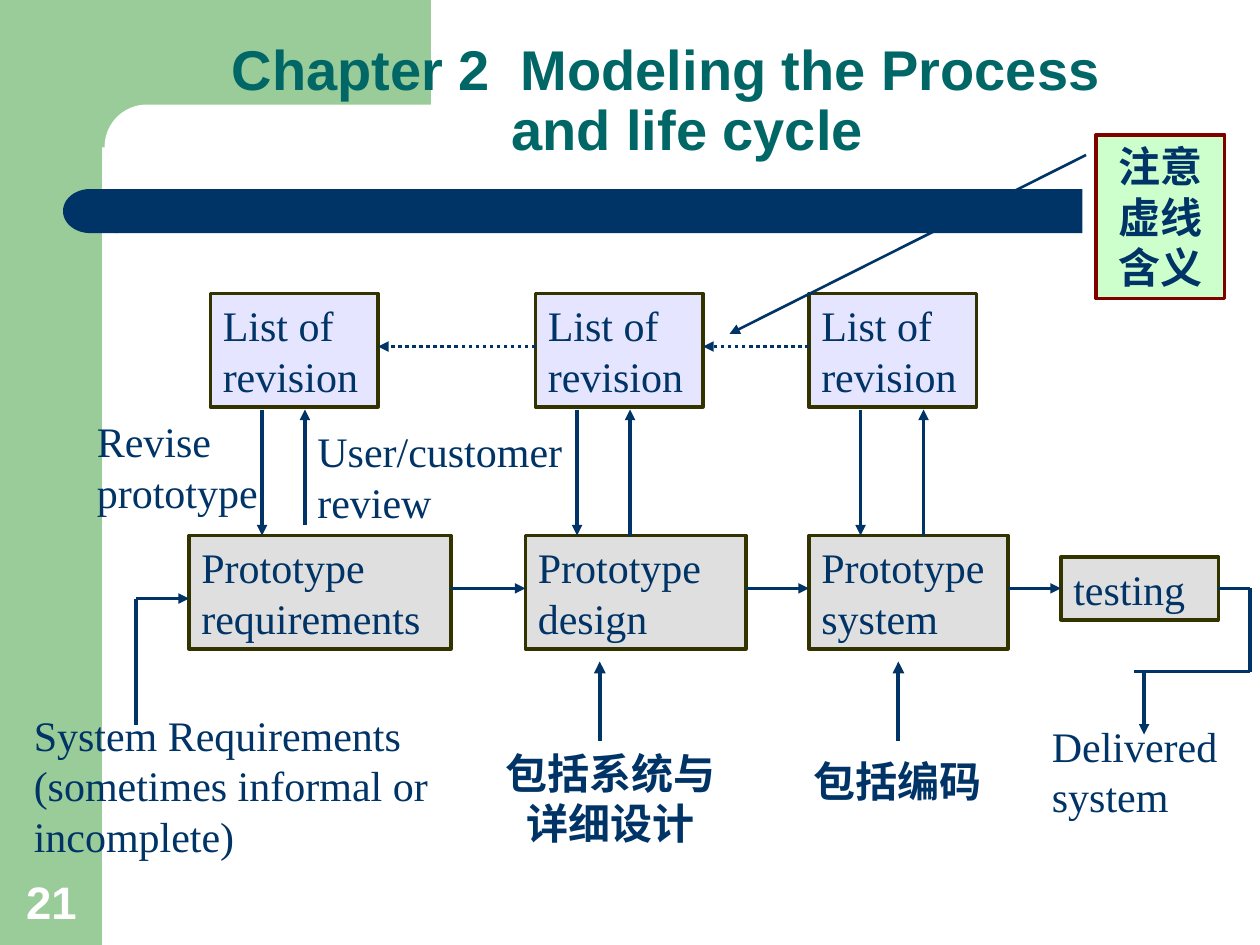
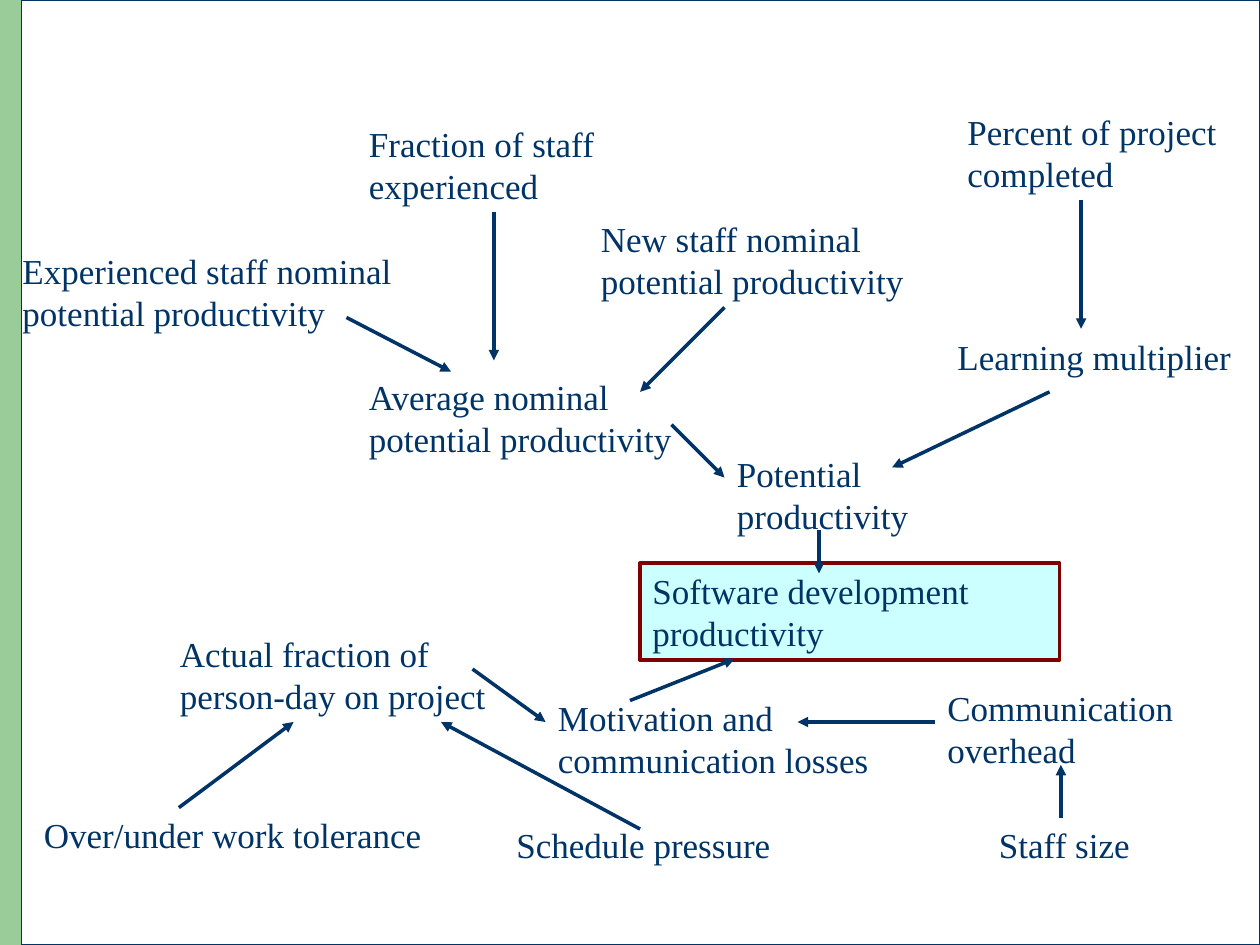
import itertools

import lxml.etree
import pptx
import pptx.dml.color
import pptx.enum.dml
import pptx.enum.shapes
import pptx.enum.text
import pptx.oxml.ns
import pptx.util

Inches, Pt = pptx.util.Inches, pptx.util.Pt
RGB = pptx.dml.color.RGBColor.from_string
qn = pptx.oxml.ns.qn
SHAPE = pptx.enum.shapes.MSO_SHAPE
ALIGN = pptx.enum.text.PP_ALIGN
ANCHOR = pptx.enum.text.MSO_ANCHOR


class Theme:
    white, green, navy, teal = "FFFFFF", "99CC99", "003366", "006666"
    grey, lilac, mint, aqua = "C0C0C0", "CCCCFF", "CCFFCC", "CCFFFF"
    olive, maroon = "333300", "800000"
    heading, body = "Arial", "Times New Roman"
    title_size, number_size, flow_size, factor_size = 32, 26, 24, 20
    line_width = 2


def add_box(s, at, text="", size=Theme.flow_size, color=Theme.navy, font=Theme.body,
            bold=False, align=ALIGN.LEFT, anchor=ANCHOR.TOP, fill=None, alpha=None,
            line=None, width=Theme.line_width, kind=SHAPE.RECTANGLE):
    """Add a filled shape, or a plain text box when there is no fill."""
    place = [Inches(v) for v in at]
    if fill:
        sp = s.shapes.add_shape(kind, *place)
        sp.shadow.inherit = False
        sp.fill.solid()
        sp.fill.fore_color.rgb = RGB(fill)
        if alpha:
            clr = sp._element.spPr.find(".//" + qn("a:srgbClr"))
            lxml.etree.SubElement(clr, qn("a:alpha"), val=str(alpha * 1000))
        if line:
            sp.line.color.rgb = RGB(line)
            sp.line.width = Pt(width)
        else:
            sp.line.fill.background()
    else:
        sp = s.shapes.add_textbox(*place)
    if text:
        tf = sp.text_frame
        tf.word_wrap = True
        tf.vertical_anchor = anchor
        tf.text = text
        for p in tf.paragraphs:
            p.alignment = align
            for r in p.runs:
                r.font.size, r.font.name, r.font.bold = Pt(size), font, bold
                r.font.color.rgb = RGB(color)
    return sp


def add_line(s, start, end, width=Theme.line_width, arrow=True, dotted=False):
    c = s.shapes.add_connector(pptx.enum.shapes.MSO_CONNECTOR.STRAIGHT,
                               *[Inches(v) for v in (*start, *end)])
    c.line.color.rgb = RGB(Theme.navy)
    c.line.width = Pt(width)
    if dotted:
        c.line.dash_style = pptx.enum.dml.MSO_LINE.ROUND_DOT
    if arrow:
        lxml.etree.SubElement(c.line._get_or_add_ln(), qn("a:tailEnd"), type="triangle")
    lxml.etree.SubElement(c._element.spPr, qn("a:effectLst"))


prs = pptx.Presentation()
prs.slide_width, prs.slide_height = Inches(10), Inches(7.5)
flow, factors = [prs.slides.add_slide(prs.slide_layouts[6]) for _ in range(2)]

# Green corner shared by both slides
for s in (flow, factors):
    add_box(s, (0, 0, 0.81, 7.5), fill=Theme.green)
    add_box(s, (0.73, 0, 2.69, 1.17), fill=Theme.green)

# Slide 1: prototyping flow
s = flow
corner = add_box(s, (0.83, 0.83, 5.58, 0.67), fill=Theme.white, kind=SHAPE.ROUNDED_RECTANGLE)
corner.adjustments[0] = 0.5
add_box(s, (0.92, 1.5, 7.67, 0.35), fill=Theme.navy)
cap = add_box(s, (0.5, 1.5, 0.43, 0.35), fill=Theme.navy, kind=SHAPE.FLOWCHART_DELAY)
cap.rotation = 180
add_box(s, (0.11, 6.88, 0.64, 0.54), "21", Theme.number_size, Theme.white,
        Theme.heading, bold=True, anchor=ANCHOR.BOTTOM)

title = add_box(s, (1, 0.42, 8.75, 0.92), "Chapter 2  Modeling the Process\nand life cycle",
                Theme.title_size, Theme.teal, Theme.heading, bold=True, anchor=ANCHOR.BOTTOM)
for p, indent in zip(title.text_frame.paragraphs, (0.74, 2.96)):
    p.line_spacing = 0.9
    p._p.get_or_add_pPr().set("marL", str(Inches(indent)))

stages = [
    ("Prototype requirements", 1.5, 4.25, 2.08, 0.9),
    ("Prototype design", 4.17, 4.25, 1.75, 0.9),
    ("Prototype system", 6.42, 4.25, 1.58, 0.9),
    ("testing", 8.42, 4.42, 1.25, 0.5),
]
flow_y = 4.67
for text, *at in stages:
    add_box(s, at, text, fill=Theme.grey, alpha=50, line=Theme.olive)
for (_, left, _, width, _), (_, next_left, *_) in itertools.pairwise(stages):
    add_line(s, (left + width, flow_y), (next_left, flow_y))

# Revision list left edge, x of the arrow down, x and start of the arrow up
revisions = [(1.67, 2.08, 2.42, 4.17), (4.25, 4.58, 5, 4.25), (6.42, 6.83, 7.33, 4.25)]
revision_width, dotted_y = 1.33, 2.75
for left, down_x, up_x, up_start in revisions:
    add_box(s, (left, 2.33, revision_width, 0.9), "List of revision",
            fill=Theme.lilac, alpha=50, line=Theme.olive)
    add_line(s, (down_x, 3.25), (down_x, 4.25))
    add_line(s, (up_x, up_start), (up_x, 3.25))
for (left, *_), (next_left, *_) in itertools.pairwise(revisions):
    add_line(s, (next_left, dotted_y), (left + revision_width, dotted_y), dotted=True)

delivery = [(9.67, flow_y), (9.92, flow_y), (9.92, 5.33), (9, 5.33)]
for start, end in itertools.pairwise(delivery):
    add_line(s, start, end, arrow=False)
add_line(s, (9.08, 5.33), (9.08, 5.83))
add_line(s, (1.08, 4.75), (1.08, 5.75), arrow=False)
add_line(s, (1.08, 4.75), (1.5, 4.75))

for text, *at in [
    ("System Requirements (sometimes informal or incomplete)", 0.17, 5.58, 3.33, 1.3),
    ("Revise prototype", 0.67, 3.25, 1.58, 0.9),
    ("User/customer review", 2.42, 3.33, 2.25, 0.9),
    ("Delivered system", 8.25, 5.67, 1.67, 0.9),
]:
    add_box(s, at, text)

for text, arrow_x, *at in [
    ("包括系统与详细设计", 4.76, 3.9, 5.88, 1.89, 0.9),
    ("包括编码", 7.13, 6.34, 5.95, 1.57, 0.5),
]:
    add_line(s, (arrow_x, 5.88), (arrow_x, 5.25), width=2.25)
    add_box(s, at, text, font=Theme.heading, bold=True, align=ALIGN.CENTER)
add_box(s, (8.7, 1.07, 1.02, 1.3), "注意虚线含义", font=Theme.heading, bold=True,
        align=ALIGN.CENTER, fill=Theme.mint, line=Theme.maroon)
add_line(s, (8.62, 1.23), (5.79, 2.65), width=1.5)

# Slide 2: factors of productivity
s = factors
add_box(s, (0.17, 0, 9.83, 7.5), fill=Theme.white, line=Theme.navy, width=0.75)
one_line, two_lines = 0.44, 0.77
for text, left, top, width, height in [
    ("Experienced staff nominal potential productivity", 0.08, 1.93, 3.25, two_lines),
    ("Fraction of staff experienced", 2.83, 0.92, 2, two_lines),
    ("New staff nominal potential productivity", 4.67, 1.68, 2.75, two_lines),
    ("Percent of project completed", 7.58, 0.83, 2.5, two_lines),
    ("Average nominal potential productivity", 2.83, 2.93, 2.67, two_lines),
    ("Learning multiplier", 7.5, 2.61, 2.58, one_line),
    ("Potential productivity", 5.75, 3.54, 1.67, two_lines),
    ("Actual fraction of person-day on project", 1.33, 4.97, 2.67, two_lines),
    ("Motivation and communication losses", 4.33, 5.48, 2.83, two_lines),
    ("Communication overhead", 7.42, 5.4, 2.25, two_lines),
    ("Over/under work tolerance", 0.25, 6.41, 3.33, one_line),
    ("Schedule pressure", 4, 6.49, 2.25, one_line),
    ("Staff size", 7.83, 6.49, 1.25, one_line),
]:
    add_box(s, (left, top, width, height), text, Theme.factor_size)
add_box(s, (5.08, 4.47, 3.33, two_lines), "Software development productivity",
        Theme.factor_size, fill=Theme.aqua, line=Theme.maroon)

for start, end in [
    ((2.75, 2.52), (3.58, 2.95)),
    ((3.92, 1.68), (3.92, 2.86)),
    ((5.75, 2.44), (5.08, 3.11)),
    ((5.33, 3.37), (5.75, 3.79)),
    ((8.58, 1.59), (8.58, 2.61)),
    ((8.33, 3.11), (7.08, 3.71)),
    ((6.5, 4.21), (6.5, 4.55)),
    ((3.75, 5.31), (4.33, 5.73)),
    ((5, 5.56), (5.83, 5.23)),
    ((7.42, 5.73), (6.33, 5.73)),
    ((1.42, 6.41), (2.33, 5.73)),
    ((5.08, 6.58), (3.5, 5.73)),
    ((8.42, 6.49), (8.42, 6.07)),
]:
    add_line(s, start, end)

prs.save("out.pptx")
